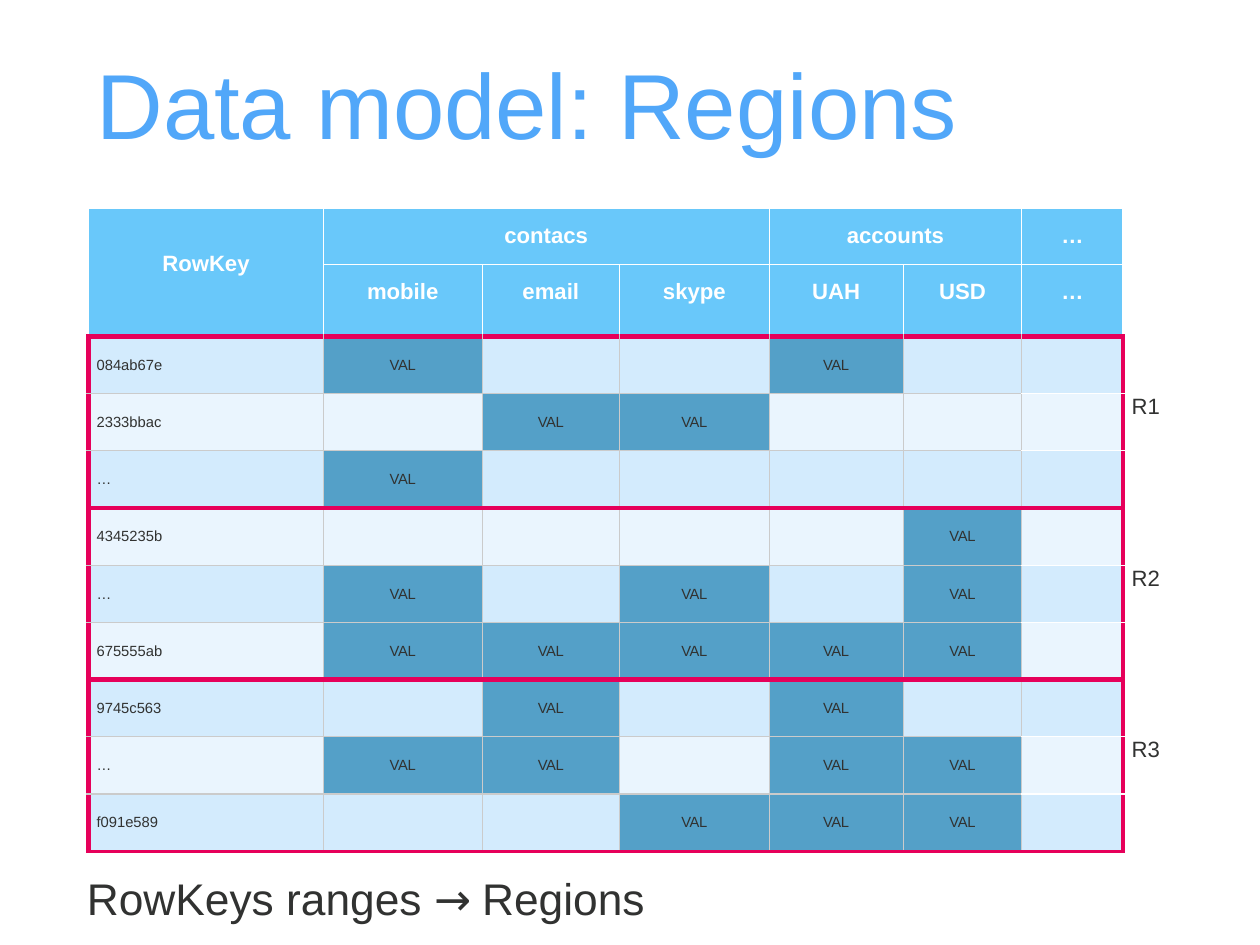
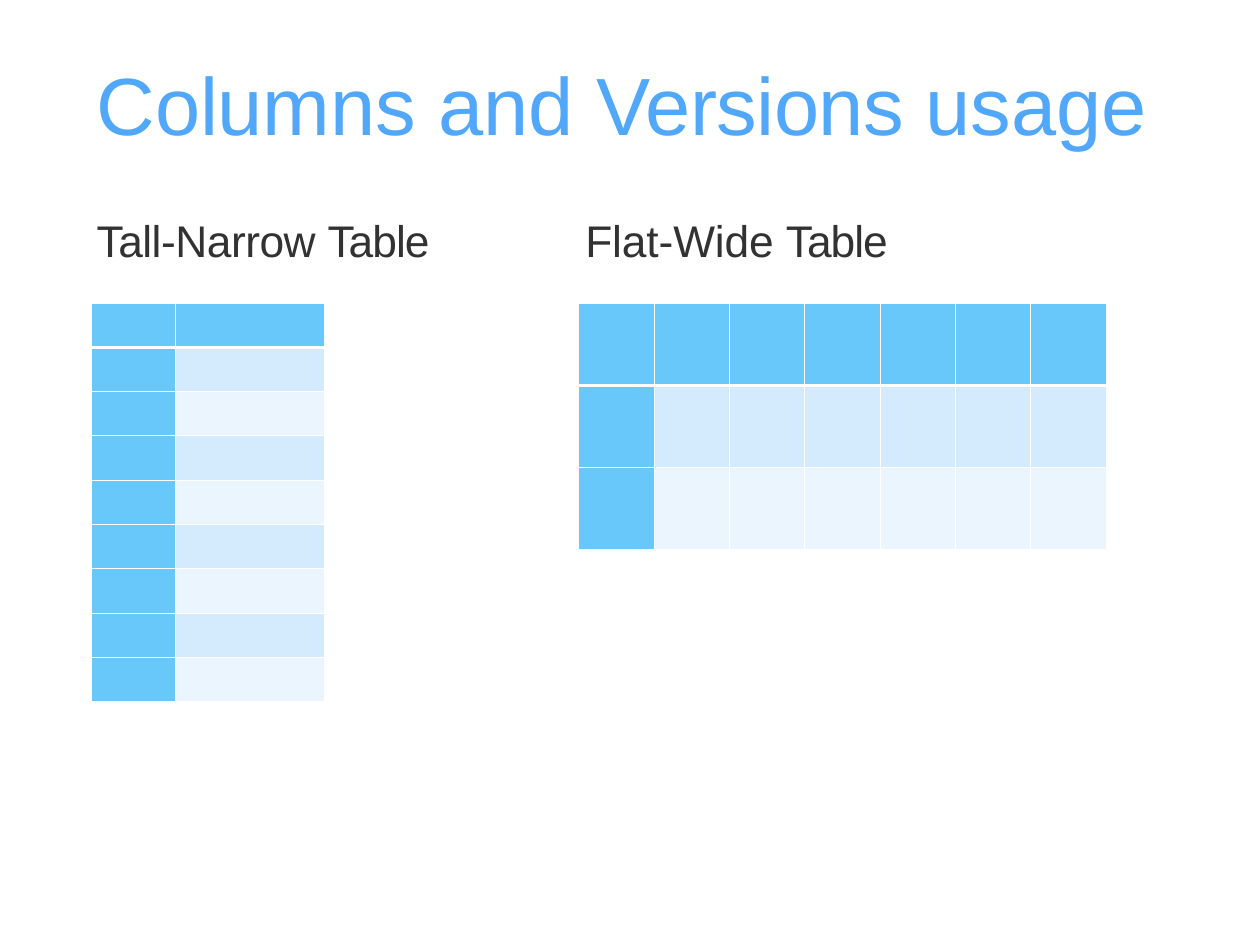
from pptx import Presentation
from pptx import util as u
from pptx.dml.color import RGBColor
from pptx.enum import text
from pptx.oxml.ns import qn
from lxml import etree

COLORS = {"title": "51A7F9", "ink": "313231", "white": "FFFFFF", "head": "69C8FA",
          "odd": "D3EBFD", "even": "EAF5FE", "value": "54A0C8", "grid": "CBCBCB",
          "region": "E6005A"}
FONT = "Arial"
CENTER = text.PP_ALIGN.CENTER
WHITE = ("white", 1)
GRID = ("grid", 1)
REGION = ("region", 4.25)


def rgb(name):
    return RGBColor.from_string(COLORS[name])


class Deck:
    def __init__(self, width, height):
        self.prs = Presentation()
        self.prs.slide_width, self.prs.slide_height = u.Cm(width), u.Cm(height)
        self.s = None

    def slide(self, title, size, top):
        self.s = self.prs.slides.add_slide(self.prs.slide_layouts[6])
        self.text(2.74, top, 31, 3, title, size, "title")

    def add_runs(self, p, runs, color, **fmt):
        for words, spacing, font in runs:
            r = p.add_run()
            r.text = words
            for key, value in {"name": font, **fmt}.items():
                setattr(r.font, key, value)
            r.font.color.rgb = rgb(color)
            if spacing:
                r._r.get_or_add_rPr().set("spc", str(round(spacing * 100)))

    def text(self, x, y, w, h, runs, size, color="ink"):
        tf = self.s.shapes.add_textbox(u.Cm(x), u.Cm(y), u.Cm(w), u.Cm(h)).text_frame
        margins = {"left": 0.03, "top": 0.06, "right": 0, "bottom": 0}
        for side, value in margins.items():
            setattr(tf, f"margin_{side}", u.Cm(value))
        tf.word_wrap = True
        self.add_runs(tf.paragraphs[0], runs, color, size=u.Pt(size))

    def table(self, x, y, cols, rows, fill, edges):
        frame = self.s.shapes.add_table(len(rows), len(cols), u.Cm(x), u.Cm(y),
                                        u.Cm(sum(cols)), u.Cm(sum(rows)))
        table = frame.table
        table.first_row = table.horz_banding = False
        for col, width in zip(table.columns, cols):
            col.width = u.Cm(width)
        for row, height in zip(table.rows, rows):
            row.height = u.Cm(height)
        for i in range(len(rows)):
            for j in range(len(cols)):
                cell = table.cell(i, j)
                for side, (color, width) in zip("LRTB", edges(i, j)):
                    self.border(cell, side, color, width)
                cell.fill.solid()
                cell.fill.fore_color.rgb = rgb(fill(i, j))
        return table

    def border(self, cell, side, color, width):
        pr = cell._tc.get_or_add_tcPr()
        ln = etree.SubElement(pr, qn(f"a:ln{side}"), w=str(u.Pt(width)))
        solid = etree.SubElement(ln, qn("a:solidFill"))
        etree.SubElement(solid, qn("a:srgbClr"), val=COLORS[color])

    def cell_text(self, cell, words, color, align=None, left=0, bottom=0, spacing=0, **fmt):
        margins = {"left": left, "top": 0, "right": 0, "bottom": bottom}
        for side, value in margins.items():
            setattr(cell, f"margin_{side}", u.Cm(value))
        cell.vertical_anchor = text.MSO_ANCHOR.MIDDLE
        p = cell.text_frame.paragraphs[0]
        p.alignment = align
        self.add_runs(p, [(words, spacing, FONT)], color, **fmt)


FAMILIES = [(1, 3, "contacs"), (4, 5, "accounts"), (6, 6, "…")]
QUALIFIERS = ["mobile", "email", "skype", "UAH", "USD", "…"]
RECORDS = [("084ab67e", "x..x.."), ("2333bbac", ".xx..."), ("…", "x....."),
           ("4345235b", "....x."), ("…", "x.x.x."), ("675555ab", "xxxxx."),
           ("9745c563", ".x.x.."), ("…", "xx.xx."), ("f091e589", "..xxx.")]
LAST = len(QUALIFIERS)
HEADS = 2
REGION_ROWS = 3


def region_fill(i, j):
    if i < HEADS:
        return "head"
    if j and RECORDS[i - HEADS][1][j - 1] == "x":
        return "value"
    return "even" if i % 2 else "odd"


def region_rule(line, j):
    if line < HEADS:
        return WHITE
    if line == HEADS + len(RECORDS):
        return ("region", 3)
    if (line - HEADS) % REGION_ROWS == 0:
        return REGION
    return WHITE if j == LAST else GRID


def region_edges(i, j):
    if i < HEADS:
        left = right = WHITE
    else:
        left = REGION if j == 0 else GRID
        right = REGION if j == LAST else GRID
    return left, right, region_rule(i, j), region_rule(i + 1, j)


def plain_fill(i, j):
    if i == 0 or j == 0:
        return "head"
    return "odd" if i % 2 else "even"


def plain_edges(i, j):
    thick = ("white", 3)
    return WHITE, WHITE, thick if i == 1 else WHITE, thick if i == 0 else WHITE


def regions_slide(deck):
    deck.slide([("Data model: ", -0.1, FONT), ("Regions", 0, FONT)], 75, 1.3)
    top, head_rows, row = 5.97, [1.62, 2.06], 1.64
    table = deck.table(2.54, top, [6.73, 4.55, 3.94, 4.29, 3.84, 3.4, 2.9],
                       head_rows + [row] * len(RECORDS), region_fill, region_edges)
    head = {"color": "white", "align": CENTER, "size": u.Pt(18), "bold": True}
    table.cell(0, 0).merge(table.cell(1, 0))
    deck.cell_text(table.cell(0, 0), "RowKey", bottom=0.5, **head)
    for first, last, family in FAMILIES:
        if last > first:
            table.cell(0, first).merge(table.cell(0, last))
        deck.cell_text(table.cell(0, first), family, bottom=0.05, **head)
    for j, qualifier in enumerate(QUALIFIERS, 1):
        deck.cell_text(table.cell(1, j), qualifier, bottom=0.5, **head)
    for i, (key, marks) in enumerate(RECORDS, HEADS):
        deck.cell_text(table.cell(i, 0), key, "ink", left=0.23, size=u.Pt(12))
        for j, mark in enumerate(marks, 1):
            if mark == "x":
                deck.cell_text(table.cell(i, j), "VAL", "ink", CENTER,
                               spacing=-0.3, size=u.Pt(12))
    deck.text(2.46, 24.92, 18, 1.6, [("RowKeys ranges ", 0, FONT),
                                     ("→ ", 0, "League Spartan"),
                                     ("Regions", 0, FONT)], 36)
    for n in range(len(RECORDS) // REGION_ROWS):
        deck.text(32.41, 11.2 + n * REGION_ROWS * row, 1.2, 0.84,
                  [(f"R{n + 1}", 0, FONT)], 18)


def usage_slide(deck):
    deck.slide([("Columns ", -0.1, FONT), ("and ", 0, FONT),
                ("Versions ", -0.5, FONT), ("usage", 0, FONT)], 66, 1.5)
    for x, table_x, name, spacing, cols, rows in [
            (2.74, 2.62, "Tall-Narrow ", -0.4, [2.41, 4.27], [1.27] * 9),
            (16.75, 16.59, "Flat-Wide ", -0.1, [2.16] * 7, [2.36] * 3)]:
        deck.text(x, 6.05, 12, 1.6, [(name, spacing, FONT), ("Table", -0.8, FONT)], 36)
        deck.table(table_x, 8.69, cols, rows, plain_fill, plain_edges)


def main():
    deck = Deck(36.12, 27.1)
    regions_slide(deck)
    usage_slide(deck)
    deck.prs.save("out.pptx")


if __name__ == "__main__":
    main()
